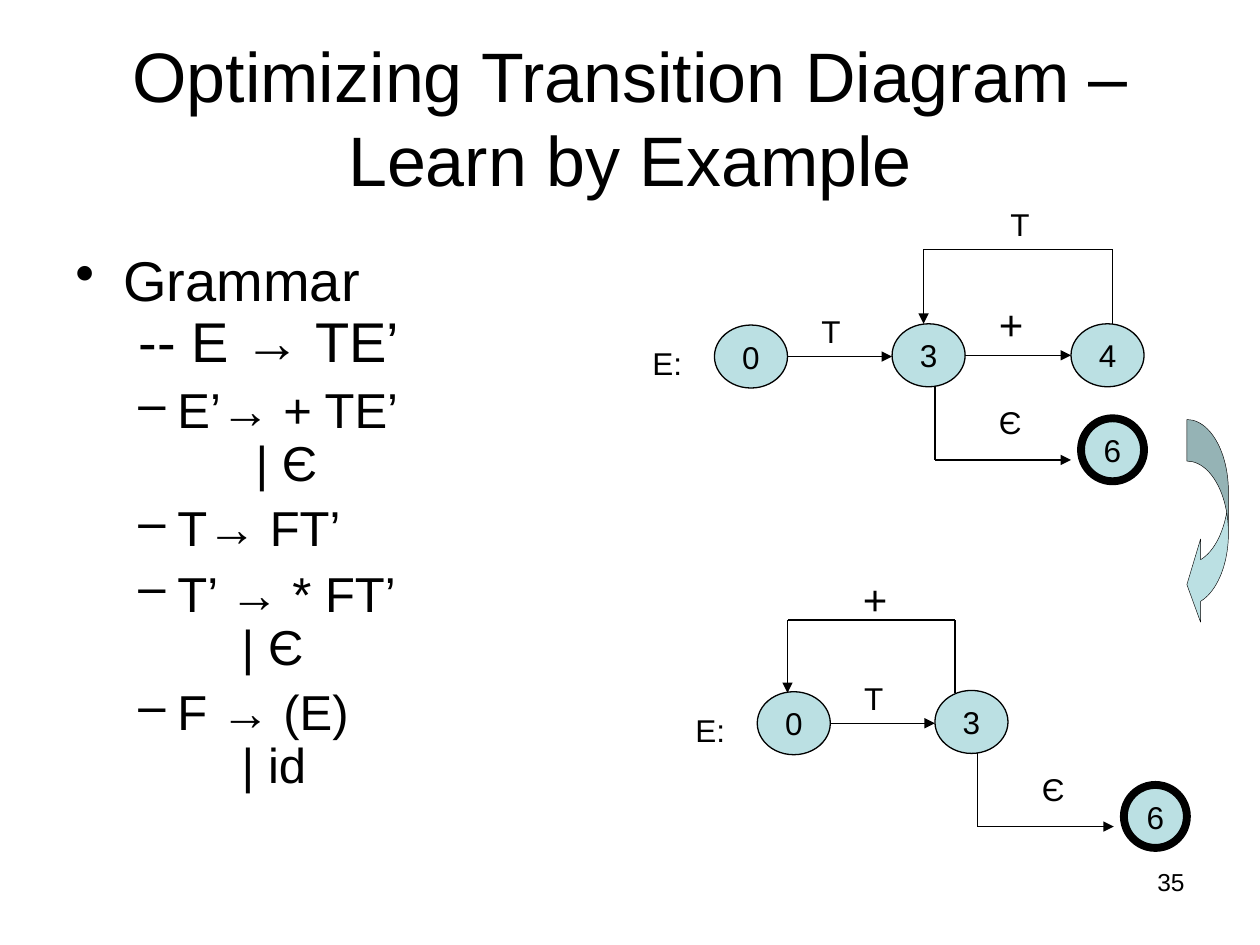
"""Build a slide that shows how a transition diagram is optimized."""
from dataclasses import dataclass
from itertools import pairwise

from lxml import etree
from pptx import Presentation
from pptx.dml.color import RGBColor
from pptx.enum.shapes import MSO_CONNECTOR, MSO_SHAPE
from pptx.enum.text import MSO_ANCHOR, PP_ALIGN
from pptx.oxml.ns import qn
from pptx.util import Inches, Pt

BLACK = RGBColor(0x00, 0x00, 0x00)
PALE_TEAL = RGBColor(0xBB, 0xE0, 0xE3)
FONT = "Arial"
STRAIGHT = MSO_CONNECTOR.STRAIGHT
OVAL = MSO_SHAPE.OVAL
CURVED_ARROW = MSO_SHAPE.CURVED_LEFT_ARROW
LEFT, CENTER, RIGHT = PP_ALIGN.LEFT, PP_ALIGN.CENTER, PP_ALIGN.RIGHT
TOP, MIDDLE = MSO_ANCHOR.TOP, MSO_ANCHOR.MIDDLE

Point = tuple[float, float]


@dataclass(frozen=True)
class State:
    name: str
    left: float
    top: float
    width: float = 0.58
    line_width: float = 0.75


@dataclass(frozen=True)
class Label:
    text: str
    left: float
    top: float
    width: float = 0.5
    size: int = 18


@dataclass(frozen=True)
class Rule:
    text: str
    size: int = 28
    bullet: str = "–"
    margin: float = 0.81
    hanging: float = 0.31
    space_before: int = 7
    tab: float = 0


@dataclass(frozen=True)
class Diagram:
    left: float
    top: float
    states: tuple[State, ...]
    labels: tuple[Label, ...]
    routes: tuple[tuple[Point, ...], ...]


SHARED_STATES = (
    State("0", 0.59, 0.01),
    State("3", 2, 0),
    State("6", 3.5, 0.75, 0.5, 4.5),
)
SHARED_LABELS = (
    Label("E:", 0, 0.11, 0.58),
    Label("T", 1.34, -0.14),
    Label("Є", 2.75, 0.58, 0.33),
)
SHARED_ROUTES = (
    ((1.17, 0.26), (2, 0.26)),
    ((2.34, 0.5), (2.34, 1.08), (3.42, 1.08)),
)
DIAGRAMS = (
    Diagram(
        5.08, 2.57,
        (*SHARED_STATES, State("4", 3.42, 0)),
        (*SHARED_LABELS, Label("+", 2.75, -0.25, size=24), Label("T", 2.84, -0.99, 0.42)),
        (
            *SHARED_ROUTES,
            ((2.59, 0.25), (3.42, 0.25)),
            ((3.75, 0), (3.75, -0.59), (2.25, -0.59), (2.25, 0)),
        ),
    ),
    Diagram(
        5.42, 5.48,
        SHARED_STATES,
        (*SHARED_LABELS, Label("+", 1.33, -0.98, size=24)),
        (*SHARED_ROUTES, ((2.16, 0.02), (2.16, -0.56), (0.83, -0.56), (0.83, 0.02))),
    ),
)
GRAMMAR = (
    Rule("Grammar\n -- E → TE’", 32, "•", 0.38, 0.38, 8),
    Rule("E’→ + TE’\n\t| Є", tab=1.43),
    Rule("T→ FT’"),
    Rule("T’ → * FT’\n\t| Є", tab=1.32),
    Rule("F → (E)\n\t| id", tab=1.32),
)


def format_runs(para, size: float) -> None:
    """Give all runs of a paragraph the slide's font."""
    for span in para.runs:
        span.font.name = FONT
        span.font.size = Pt(size)
        span.font.color.rgb = BLACK


def add_text(page, text: str, left: float, top: float, width: float, height: float,
             size: float, align=LEFT, anchor=TOP, space_before: float = 0) -> None:
    """Add a wrapped text box with one paragraph."""
    box = page.shapes.add_textbox(Inches(left), Inches(top), Inches(width), Inches(height))
    box.text_frame.word_wrap = True
    box.text_frame.vertical_anchor = anchor
    para = box.text_frame.paragraphs[0]
    para.text = text
    para.alignment = align
    para.space_before = Pt(space_before)
    format_runs(para, size)


def add_filled_shape(page, kind, left: float, top: float, width: float, height: float,
                     line_width: float):
    """Add a pale shape with a black outline."""
    shape = page.shapes.add_shape(
        kind, Inches(left), Inches(top), Inches(width), Inches(height))
    shape.shadow.inherit = False
    shape.fill.solid()
    shape.fill.fore_color.rgb = PALE_TEAL
    shape.line.color.rgb = BLACK
    shape.line.width = Pt(line_width)
    return shape


def add_state(page, state: State, left: float, top: float) -> None:
    """Add a numbered state, placed from the diagram's origin."""
    shape = add_filled_shape(page, OVAL, left + state.left, top + state.top,
                             state.width, 0.5, state.line_width)
    shape.text_frame.word_wrap = False
    shape.text_frame.vertical_anchor = MIDDLE
    para = shape.text_frame.paragraphs[0]
    para.text = state.name
    para.alignment = CENTER
    format_runs(para, 18)


def add_route(page, points: tuple[Point, ...], left: float, top: float) -> None:
    """Join points with straight lines and put an arrowhead on the last one."""
    for (start_x, start_y), (end_x, end_y) in pairwise(points):
        line = page.shapes.add_connector(
            STRAIGHT, Inches(left + start_x), Inches(top + start_y),
            Inches(left + end_x), Inches(top + end_y))
        line.line.color.rgb = BLACK
        line.line.width = Pt(0.75)
        properties = line._element.spPr
        etree.SubElement(properties, qn("a:effectLst"))
    etree.SubElement(properties.find(qn("a:ln")), qn("a:tailEnd"), type="triangle")


def add_diagram(page, diagram: Diagram) -> None:
    """Draw the routes, states and labels of a transition diagram."""
    left, top = diagram.left, diagram.top
    for points in diagram.routes:
        add_route(page, points, left, top)
    for state in diagram.states:
        add_state(page, state, left, top)
    for label in diagram.labels:
        add_text(page, label.text, left + label.left, top + label.top, label.width,
                 label.size / 60 + 0.1, label.size, space_before=label.size * 0.625)


def add_grammar(page) -> None:
    """Add the bulleted grammar rules."""
    box = page.shapes.add_textbox(Inches(0.5), Inches(1.96), Inches(3.92), Inches(4.95))
    frame = box.text_frame
    frame.word_wrap = True
    frame.text = "\n".join("" for _ in GRAMMAR)
    for para, rule in zip(frame.paragraphs, GRAMMAR):
        para.text = rule.text
        para.line_spacing = 0.9
        para.space_before = Pt(rule.space_before)
        format_runs(para, rule.size)
        properties = para._p.get_or_add_pPr()
        properties.set("marL", str(Inches(rule.margin)))
        properties.set("indent", str(-Inches(rule.hanging)))
        etree.SubElement(properties, qn("a:buChar"), char=rule.bullet)
        if rule.tab:
            tabs = etree.SubElement(properties, qn("a:tabLst"))
            etree.SubElement(tabs, qn("a:tab"), pos=str(Inches(rule.tab)), algn="l")


def main() -> None:
    """Build and save the deck."""
    deck = Presentation()
    deck.slide_width, deck.slide_height = Inches(10), Inches(7.5)
    page = deck.slides.add_slide(deck.slide_layouts[6])
    add_text(page, "Optimizing Transition Diagram – Learn by Example",
             0.5, 0.3, 9, 1.25, 40, CENTER, MIDDLE)
    add_grammar(page)
    for diagram in DIAGRAMS:
        add_diagram(page, diagram)
    arrow = add_filled_shape(page, CURVED_ARROW, 9.42, 3.33, 0.33, 1.64, 0.25)
    for index, value in enumerate((1, 2, 0.33)):
        arrow.adjustments[index] = value
    add_text(page, "35", 7.17, 6.83, 2.33, 0.52, 14, RIGHT)
    deck.save("out.pptx")


if __name__ == "__main__":
    main()
